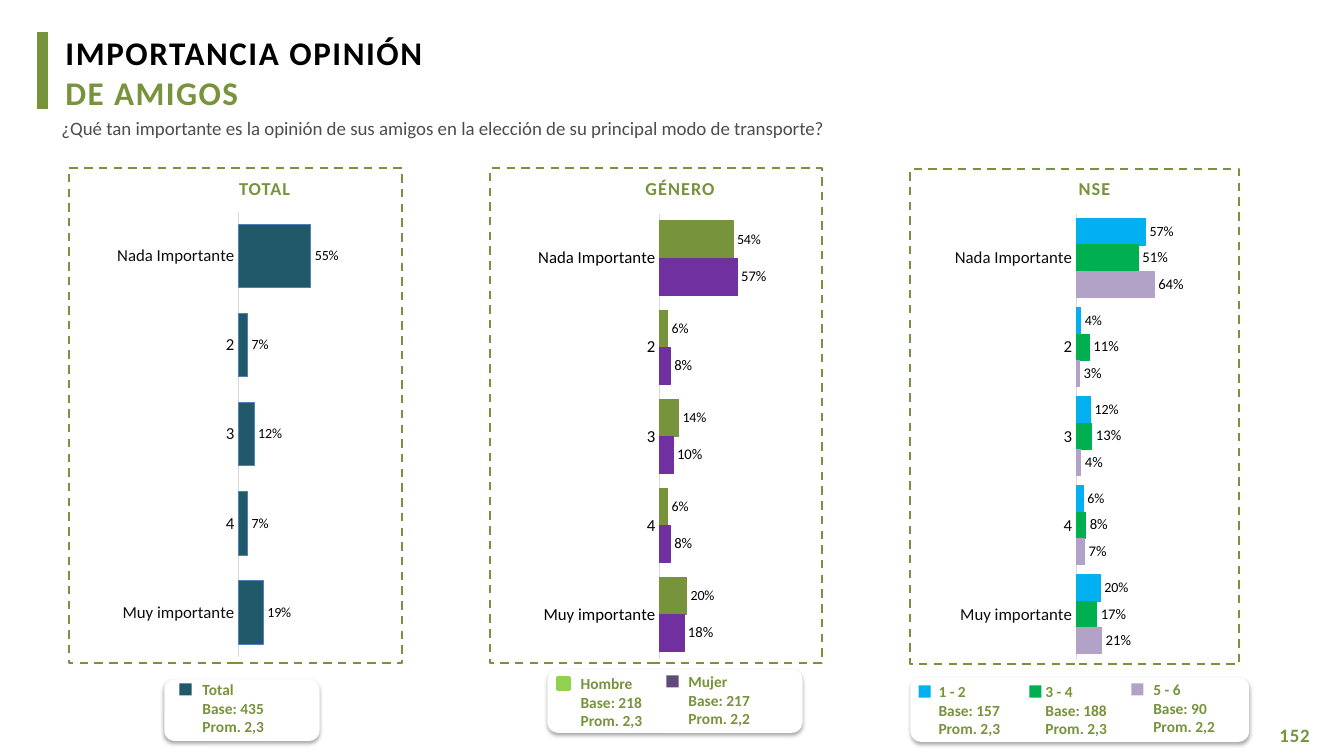
from dataclasses import dataclass

from lxml import etree
from pptx import Presentation
from pptx import util as u
from pptx.chart import data as chart_data
from pptx.dml.color import RGBColor
from pptx.enum import chart as charts, dml, shapes, text
from pptx.oxml import ns

PX = 9144  # 100 px to the inch
FONT = "Calibri"
GREEN = "77933C"
CATEGORIES = ["Nada Importante", "2", "3", "4", "Muy importante"]
LEGEND = {"size": 11, "color": GREEN, "bold": True}
HEADING = {"size": 13, "color": GREEN, "bold": True, "spacing": 80}


@dataclass
class Group:
    """One series with its legend entry; swatch is left, top and text left."""
    name: str
    base: int
    mean: str
    color: str
    values: list
    swatch: tuple
    swatch_color: str = ""
    swatch_line: float = 0
    bar_line: str = ""


@dataclass
class Panel:
    heading: str
    heading_left: int
    frame: tuple
    chart: tuple
    plot: tuple
    axis_color: str
    card: tuple
    groups: list


PANELS = [
    Panel("TOTAL", 144, (68, 167, 331, 491), (92, 191, 344, 475), (0.42, 0.38),
          "0D0D0D", (163, 674, 154, 61), [
        Group("Total", 435, "2,3", "215968", [0.55, 0.07, 0.12, 0.07, 0.19],
              (178, 678, 191), bar_line="4F81BD"),
    ]),
    Panel("GÉNERO", 556, (486, 167, 329, 491), (501, 193, 356, 475), (0.43, 0.38),
          "000000", (543, 664, 253, 63), [
        Group("Hombre", 218, "2,3", GREEN, [0.54, 0.06, 0.14, 0.06, 0.2],
              (553, 672, 566), "92D050", 2),
        Group("Mujer", 217, "2,2", "7030A0", [0.57, 0.08, 0.1, 0.08, 0.18],
              (661, 670, 673), "604A7B"),
    ]),
    Panel("NSE", 967, (903, 168, 326, 491), (919, 193, 337, 475), (0.44, 0.36),
          "0D0D0D", (903, 672, 336, 64), [
        Group("1 - 2", 157, "2,3", "00B0F0", [0.57, 0.04, 0.12, 0.06, 0.2], (911, 680, 921)),
        Group("3 - 4", 188, "2,3", "00B050", [0.51, 0.11, 0.13, 0.08, 0.17], (1021, 680, 1027)),
        Group("5 - 6", 90, "2,2", "B3A2C7", [0.64, 0.03, 0.04, 0.07, 0.21], (1122, 678, 1134)),
    ]),
]


def emu(lengths):
    return [length * PX for length in lengths]


def paint(target, color):
    """Give a fill or the fill of a line one solid colour."""
    target.solid()
    target.fore_color.rgb = RGBColor.from_string(color)


def set_font(font, size, color, bold=False):
    for name, value in {"name": FONT, "size": u.Pt(size), "bold": bold}.items():
        setattr(font, name, value)
    font.color.rgb = RGBColor.from_string(color)


def add_box(page, box, fill=None, line=None, width=0.75, dash=None,
            kind=shapes.MSO_SHAPE.RECTANGLE):
    shape = page.shapes.add_shape(kind, *emu(box))
    shape.shadow.inherit = False
    if fill:
        paint(shape.fill, fill)
    else:
        shape.fill.background()
    if line:
        paint(shape.line.fill, line)
        shape.line.width = u.Pt(width)
        if dash:
            shape.line.dash_style = dash
    else:
        shape.line.fill.background()
    return shape


def add_text(page, box, lines, insets=(1, 1, 0, 0), wrap=True, align=None, gap=0):
    """Add one paragraph for each pair of wording and format."""
    frame = page.shapes.add_textbox(*emu(box)).text_frame
    settings = dict(zip(("margin_left", "margin_top", "margin_right", "margin_bottom"),
                        emu(insets)))
    settings.update(word_wrap=wrap, auto_size=text.MSO_AUTO_SIZE.SHAPE_TO_FIT_TEXT)
    for name, value in settings.items():
        setattr(frame, name, value)
    for index, (wording, style) in enumerate(lines):
        para = frame.add_paragraph() if index else frame.paragraphs[0]
        para.alignment = align
        if index and gap:
            para.space_before = u.Pt(gap)
        span = para.add_run()
        span.text = wording
        set_font(span.font, style["size"], style["color"], style.get("bold", False))
        if "spacing" in style:
            span.font._element.set("spc", str(style["spacing"]))


def add_card(page, box):
    """Add a white rounded card with a soft shadow below it."""
    card = add_box(page, box, "FFFFFF", kind=shapes.MSO_SHAPE.ROUNDED_RECTANGLE)
    effects = card._element.spPr.find(ns.qn("a:effectLst"))
    shadow = etree.SubElement(effects, ns.qn("a:outerShdw"), blurRad=str(u.Pt(3.1)),
                              dist=str(u.Pt(1.8)), dir="5400000", rotWithShape="0")
    color = etree.SubElement(shadow, ns.qn("a:srgbClr"), val="000000")
    etree.SubElement(color, ns.qn("a:alpha"), val="35000")


def place_plot(chart, left, width):
    """Fix the inner plot area as fractions of the chart."""
    area = chart._chartSpace.find(".//" + ns.qn("c:plotArea"))
    for old in area.findall(ns.qn("c:layout")):
        area.remove(old)
    layout = etree.Element(ns.qn("c:layout"))
    area.insert(0, layout)
    manual = etree.SubElement(layout, ns.qn("c:manualLayout"))
    for tag, value in (("layoutTarget", "inner"), ("xMode", "edge"), ("yMode", "edge"),
                       ("x", left), ("y", 0.04), ("w", width), ("h", 0.93)):
        etree.SubElement(manual, ns.qn("c:" + tag), val=str(value))


def add_bars(page, panel):
    source = chart_data.CategoryChartData(number_format="0%")
    source.categories = CATEGORIES
    for group in panel.groups:
        source.add_series(group.name, group.values)
    chart = page.shapes.add_chart(charts.XL_CHART_TYPE.BAR_CLUSTERED,
                                  *emu(panel.chart), source).chart
    chart.has_title = chart.has_legend = False
    set_font(chart.font, 10, "000000")
    place_plot(chart, *panel.plot)

    axis = chart.category_axis
    axis.reverse_order = True
    axis.major_tick_mark = charts.XL_TICK_MARK.NONE
    set_font(axis.tick_labels.font, 12, panel.axis_color)
    paint(axis.format.line.fill, "D9D9D9")
    axis.format.line.width = u.Pt(0.75)
    scale = {"minimum_scale": 0, "maximum_scale": 1,
             "has_major_gridlines": False, "visible": False}
    for name, value in scale.items():
        setattr(chart.value_axis, name, value)

    plot = chart.plots[0]
    plot.gap_width = 40
    plot.vary_by_categories = False
    for index, (series, group) in enumerate(zip(plot.series, panel.groups)):
        paint(series.format.fill, group.color)
        paint(series.format.line.fill, group.bar_line or group.color)
        series.format.line.width = u.Pt(0.75)
        labels = series.data_labels
        settings = {"show_value": True, "number_format": "0%",
                    "number_format_is_linked": False,
                    "position": charts.XL_LABEL_POSITION.OUTSIDE_END}
        for name, value in settings.items():
            setattr(labels, name, value)
        set_font(labels.font, 10.5 if index else 10, "000000")


def add_legend(page, panel):
    add_card(page, panel.card)
    for group in panel.groups:
        left, top, text_left = group.swatch
        color = group.swatch_color or group.color
        add_box(page, (left, top, 12, 12), color,
                color if group.swatch_line else None, group.swatch_line)
        lines = (group.name, f"Base: {group.base}", f"Prom. {group.mean}")
        add_text(page, (text_left, top - 8, 82, 66), [(line, LEGEND) for line in lines],
                 insets=(10, 5, 10, 5), wrap=False)


def add_header(page):
    add_box(page, (37, 32, 10, 76), GREEN, GREEN)
    title = {"size": 23.6, "color": "000000", "bold": True, "spacing": 110}
    add_text(page, (64, 31, 1076, 82),
             [("IMPORTANCIA OPINIÓN", title),
              ("DE AMIGOS", {**title, "color": GREEN, "spacing": 100})], gap=0.7)
    add_text(page, (60, 115, 1055, 24),
             [("¿Qué tan importante es la opinión de sus amigos en la elección "
               "de su principal modo de transporte?", {"size": 13.5, "color": "4D4D4D"})])


def main():
    deck = Presentation()
    deck.slide_width, deck.slide_height = emu((1333, 750))
    page = deck.slides.add_slide(deck.slide_layouts[6])
    add_header(page)
    for panel in PANELS:
        add_box(page, panel.frame, line=GREEN, width=1.5, dash=dml.MSO_LINE.DASH)
        add_text(page, (panel.heading_left, 175, 236, 23), [(panel.heading, HEADING)],
                 align=text.PP_ALIGN.CENTER)
        add_legend(page, panel)
        add_bars(page, panel)
    add_text(page, (1263, 717, 49, 24),
             [("152", {"size": 13.5, "color": GREEN, "bold": True, "spacing": 60})],
             insets=(6, 1, 0, 0))
    deck.save("out.pptx")


if __name__ == "__main__":
    main()
